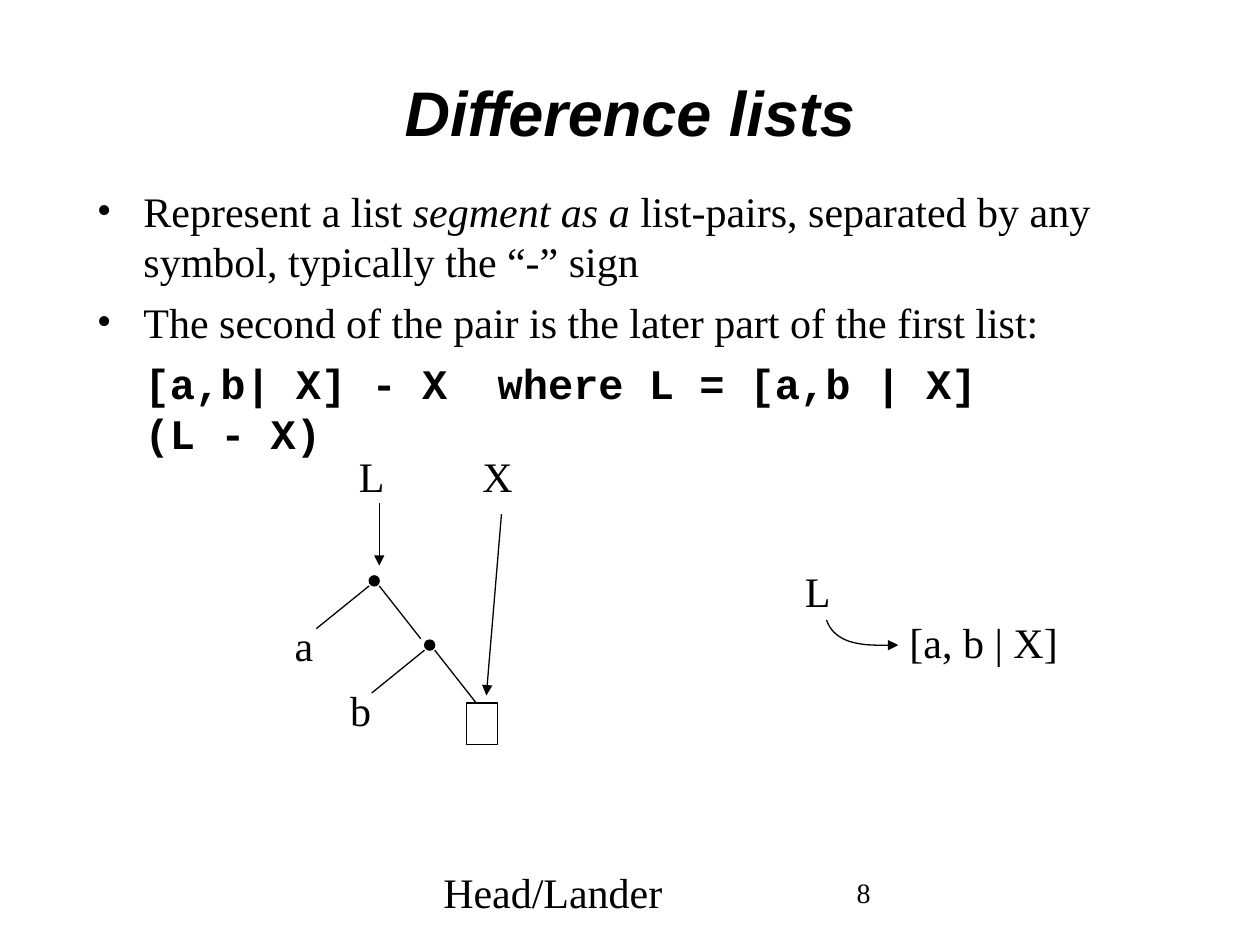
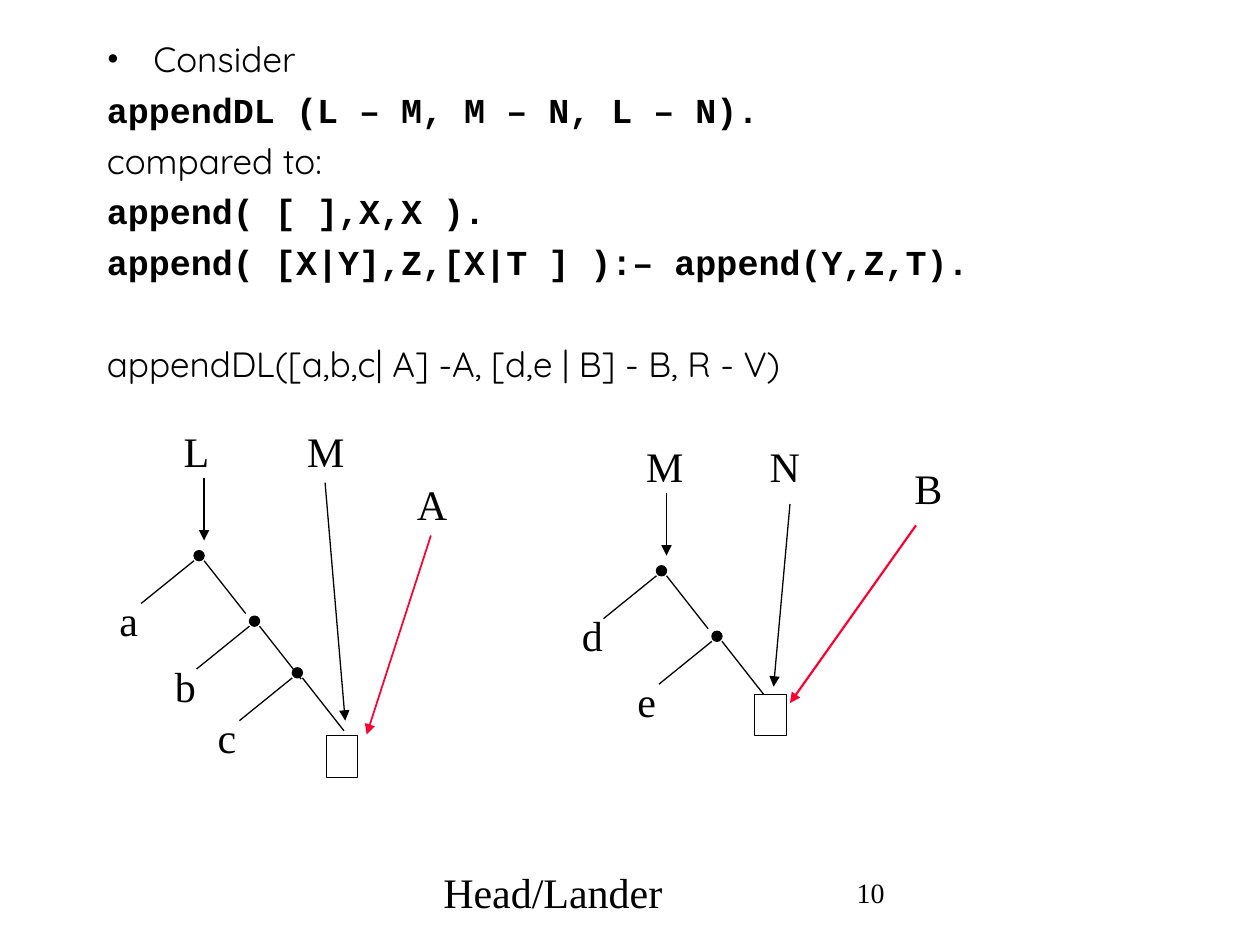
from dataclasses import dataclass
from typing import NamedTuple

import pptx
import pptx.dml.color
import pptx.enum.shapes
import pptx.enum.text
import pptx.oxml
import pptx.oxml.ns
import pptx.util
from pptx.presentation import Presentation
from pptx.shapes.base import BaseShape
from pptx.slide import Slide
from pptx.text.text import TextFrame, _Paragraph

Inches = pptx.util.Inches
Pt = pptx.util.Pt
Anchor = pptx.enum.text.MSO_ANCHOR
Align = pptx.enum.text.PP_ALIGN
Preset = pptx.enum.shapes.MSO_SHAPE


@dataclass(frozen=True)
class Theme:
    ink: str = "000000"
    accent: str = "FF0033"
    title_font: str = "Arial"
    serif: str = "Times New Roman"
    code: str = "Courier New"
    rounded: str = "Quicksand"
    title_size: float = 36
    text_size: float = 24
    small_text_size: float = 20
    number_size: float = 16
    thin: float = 0.75
    dot: float = 0.08
    leading: float = 1.2


THEME = Theme()


class Box(NamedTuple):
    left: float
    top: float
    width: float
    height: float

    def lengths(self) -> list[int]:
        return [Inches(value) for value in self]


class Point(NamedTuple):
    x: float
    y: float

    def shifted(self, dx: float, dy: float) -> "Point":
        return Point(self.x + dx, self.y + dy)


class Run(NamedTuple):
    text: str
    font: str = THEME.serif
    bold: bool = False
    italic: bool = False


class Line(NamedTuple):
    """One body paragraph; a break in it starts a new line."""
    runs: list[Run]
    bullet: bool = False
    indent: float = 0
    before: float = 6


class Arrow(NamedTuple):
    start: Point
    end: Point
    color: str = THEME.ink
    width: float = THEME.thin


class Tree(NamedTuple):
    """A list cell chain: its dots, their letters and the open tail."""
    head: str
    tail: str
    dots: list[Point]
    letters: str
    tail_box: Point
    arrows: list[Arrow]


def color_of(value: str) -> pptx.dml.color.RGBColor:
    return pptx.dml.color.RGBColor.from_string(value)


def add_run(paragraph: _Paragraph, run: Run, size: float) -> None:
    piece = paragraph.add_run()
    piece.text = run.text
    font = piece.font
    font.name, font.size = run.font, Pt(size)
    font.bold, font.italic = run.bold, run.italic
    font.color.rgb = color_of(THEME.ink)


def add_text_box(slide: Slide, box: Box, anchor: Anchor = Anchor.TOP) -> TextFrame:
    frame = slide.shapes.add_textbox(*box.lengths()).text_frame
    frame.word_wrap = True
    frame.vertical_anchor = anchor
    return frame


def add_label(slide: Slide, text: str, at: Point, width: float = 0.6) -> None:
    frame = add_text_box(slide, Box(at.x, at.y, width, 0.5))
    add_run(frame.paragraphs[0], Run(text), THEME.text_size)


def add_title(slide: Slide, text: str) -> None:
    title = slide.shapes.title
    title.left, title.top, title.width, title.height = Box(0.75, 0.42, 8.5, 0.92).lengths()
    title.text_frame.vertical_anchor = Anchor.MIDDLE
    paragraph = title.text_frame.paragraphs[0]
    paragraph.alignment = Align.CENTER
    add_run(paragraph, Run(text, THEME.title_font, True, True), THEME.title_size)


def set_indent(paragraph: _Paragraph, line: Line) -> None:
    properties = paragraph._p.get_or_add_pPr()
    properties.set("marL", str(Inches(line.indent)))
    if line.bullet:
        properties.set("indent", str(-Inches(line.indent)))
        for tag, key, value in (("a:buFont", "typeface", THEME.serif), ("a:buChar", "char", "•")):
            element = pptx.oxml.parse_xml(f"<{tag} {pptx.oxml.ns.nsdecls('a')}/>")
            element.set(key, value)
            properties.append(element)


def add_body(slide: Slide, box: Box, lines: list[Line], size: float) -> None:
    frame = add_text_box(slide, box)
    for index, line in enumerate(lines):
        paragraph = frame.add_paragraph() if index else frame.paragraphs[0]
        paragraph.line_spacing = Pt(size * THEME.leading)
        paragraph.space_before = Pt(line.before)
        set_indent(paragraph, line)
        for run in line.runs:
            for part_index, part in enumerate(run.text.split("\n")):
                if part_index:
                    paragraph.add_line_break()
                add_run(paragraph, run._replace(text=part), size)


def add_footer(slide: Slide, number: int) -> None:
    for text, left, width, size in (
        ("Head/Lander", 3.42, 3.16, THEME.text_size),
        (str(number), 6.7, 2.55, THEME.number_size),
    ):
        frame = add_text_box(slide, Box(left, 6.83, width, 0.5), Anchor.MIDDLE)
        add_run(frame.paragraphs[0], Run(text), size)


def add_arrowhead(shape: BaseShape) -> None:
    shape.line._get_or_add_ln().append(
        pptx.oxml.parse_xml(f'<a:tailEnd {pptx.oxml.ns.nsdecls("a")} type="triangle"/>')
    )


def add_line(slide: Slide, line: Arrow, pointed: bool = False) -> None:
    connector = slide.shapes.add_connector(
        pptx.enum.shapes.MSO_CONNECTOR.STRAIGHT,
        *(Inches(value) for value in (*line.start, *line.end)),
    )
    connector.line.color.rgb = color_of(line.color)
    connector.line.width = Pt(line.width)
    if pointed:
        add_arrowhead(connector)
    connector._element.spPr.append(
        pptx.oxml.parse_xml(f"<a:effectLst {pptx.oxml.ns.nsdecls('a')}/>")
    )


def outline(shape: BaseShape, filled: bool = False) -> None:
    shape.shadow.inherit = False
    shape.line.color.rgb = color_of(THEME.ink)
    shape.line.width = Pt(THEME.thin)
    if filled:
        shape.fill.solid()
        shape.fill.fore_color.rgb = color_of(THEME.ink)
    else:
        shape.fill.background()


def add_curved_arrow(slide: Slide, points: list[Point], steps: int = 24) -> None:
    """Draw a cubic curve through its four control points as short segments."""
    curve = []
    for step in range(steps + 1):
        t = step / steps
        weights = ((1 - t) ** 3, 3 * t * (1 - t) ** 2, 3 * t ** 2 * (1 - t), t ** 3)
        curve.append(tuple(
            Inches(sum(weight * value for weight, value in zip(weights, axis)))
            for axis in zip(*points)
        ))
    builder = slide.shapes.build_freeform(*curve[0])
    builder.add_line_segments(curve[1:], close=False)
    shape = builder.convert_to_shape()
    outline(shape)
    add_arrowhead(shape)


def add_tree(slide: Slide, tree: Tree) -> None:
    root, size = tree.dots[0], THEME.dot
    add_label(slide, tree.head, root.shifted(-0.18, -1.04))
    add_label(slide, tree.tail, root.shifted(0.8, -1.04))
    add_line(slide, Arrow(root.shifted(size, -0.58), root.shifted(size, -0.08)), pointed=True)
    for dot, letter in zip(tree.dots, tree.letters):
        circle = slide.shapes.add_shape(Preset.OVAL, *Box(*dot, size, size).lengths())
        outline(circle, filled=True)
        add_line(slide, Arrow(dot.shifted(0, size), dot.shifted(-0.42, 0.42)))
        add_line(slide, Arrow(dot.shifted(size, size), dot.shifted(0.41, 0.5)))
        add_label(slide, letter, dot.shifted(-0.69, 0.3))
    outline(slide.shapes.add_shape(Preset.RECTANGLE, *Box(*tree.tail_box, 0.25, 0.33).lengths()))
    for arrow in tree.arrows:
        add_line(slide, arrow, pointed=True)


def build_difference_lists(presentation: Presentation) -> None:
    slide = presentation.slides.add_slide(presentation.slide_layouts.get_by_name("Title Only"))
    add_title(slide, "Difference lists")
    add_body(slide, Box(0.67, 1.42, 8.92, 5.42), [
        Line([
            Run("Represent a list "),
            Run("segment as a", italic=True),
            Run(" list-pairs, separated by any symbol, typically the “-” sign"),
        ], bullet=True, indent=0.37),
        Line([Run("The second of the pair is the later part of the first list:")],
             bullet=True, indent=0.37),
        Line([Run("[a,b| X] - X  where L = [a,b | X]\n(L - X)", THEME.code, bold=True)],
             indent=0.38),
    ], THEME.text_size)
    add_tree(slide, Tree(
        "L", "X", [Point(2.93, 4.57), Point(3.37, 5.08)], "ab", Point(3.7, 5.58),
        [Arrow(Point(3.98, 4.08), Point(3.86, 5.52))],
    ))
    add_label(slide, "L", Point(6.29, 4.44))
    add_label(slide, "[a, b | X]", Point(7.12, 4.84), width=1.5)
    add_curved_arrow(slide, [
        Point(6.56, 4.92), Point(6.64, 5.15), Point(6.94, 5.12), Point(7.13, 5.12),
    ])
    add_footer(slide, 8)


def build_append_comparison(presentation: Presentation) -> None:
    slide = presentation.slides.add_slide(presentation.slide_layouts.get_by_name("Blank"))

    def plain(text: str, **options) -> Line:
        return Line([Run(text, THEME.rounded)], **{"before": 5, **options})

    def code(text: str) -> Line:
        return Line([Run(text, THEME.code, bold=True)], before=5)

    add_body(slide, Box(0.75, 0.25, 8.5, 6.33), [
        plain("Consider", bullet=True, indent=0.37),
        code("appendDL (L – M, M – N, L – N)."),
        plain("compared to:"),
        code("append( [ ],X,X )."),
        code("append( [X|Y],Z,[X|T ] ):– append(Y,Z,T)."),
        plain("appendDL([a,b,c| A] -A, [d,e | B] - B, R - V)", before=34),
    ], THEME.small_text_size)
    add_tree(slide, Tree(
        "L", "M", [Point(1.54, 4.37), Point(1.98, 4.89), Point(2.32, 5.3)], "abc",
        Point(2.59, 5.84),
        [Arrow(Point(2.58, 3.83), Point(2.74, 5.72)),
         Arrow(Point(3.42, 4.25), Point(2.91, 5.83), THEME.accent, 1)],
    ))
    add_tree(slide, Tree(
        "M", "N", [Point(5.21, 4.49), Point(5.65, 5.01)], "de", Point(5.99, 5.51),
        [Arrow(Point(6.27, 4), Point(6.14, 5.45)),
         Arrow(Point(7.27, 4.17), Point(6.27, 5.58), THEME.accent, 1.25)],
    ))
    add_label(slide, "A", Point(3.21, 3.75))
    add_label(slide, "B", Point(7.16, 3.62))
    add_footer(slide, 10)


def main() -> None:
    presentation = pptx.Presentation()
    presentation.slide_width, presentation.slide_height = Inches(10), Inches(7.5)
    build_difference_lists(presentation)
    build_append_comparison(presentation)
    presentation.save("out.pptx")


if __name__ == "__main__":
    main()
